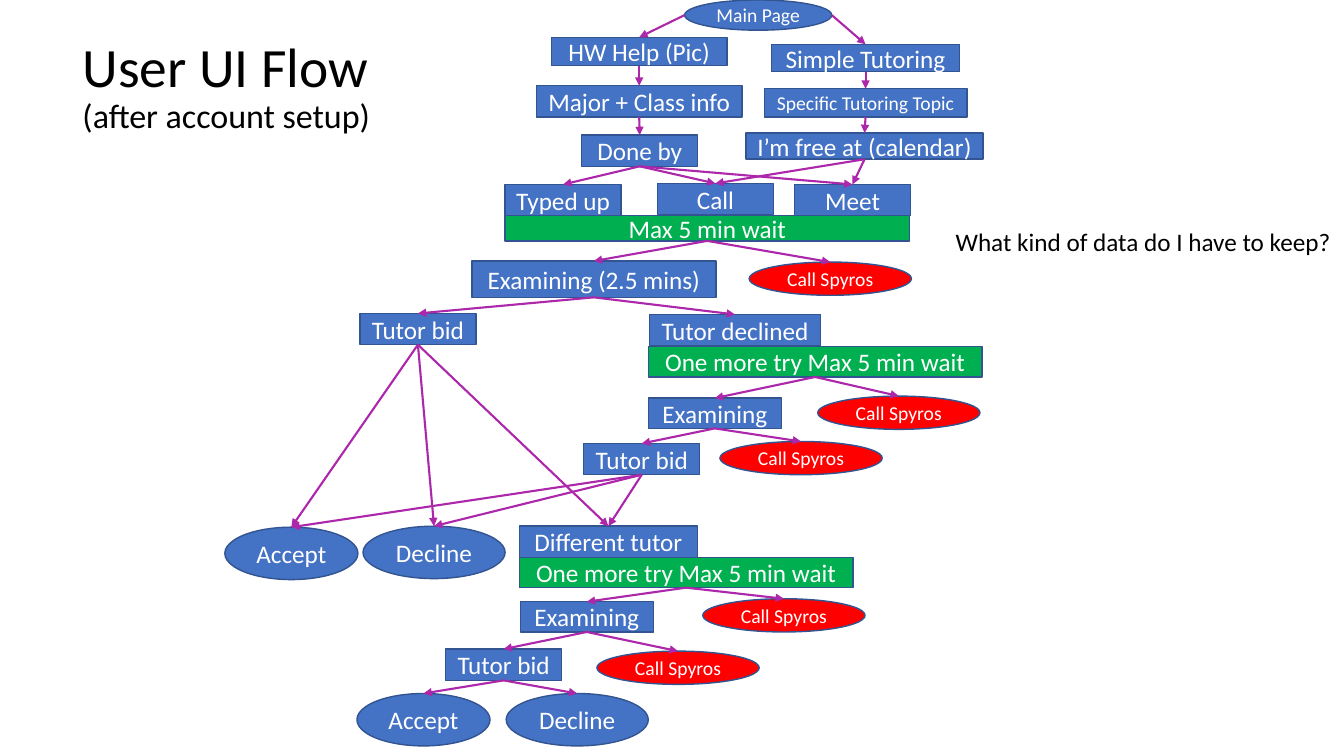
"""Draw the user flow chart as glued boxes and arrows on a grid of tenth-inch cells."""
from typing import NamedTuple

from lxml.etree import SubElement
from pptx import Presentation
from pptx.dml.color import RGBColor
from pptx.enum.shapes import MSO_CONNECTOR, MSO_SHAPE
from pptx.enum.text import MSO_ANCHOR, PP_ALIGN
from pptx.oxml.ns import qn
from pptx.util import Inches, Pt

COLS, ROWS = 133.3, 75
WIDE, HIGH = Inches(13.33), Inches(7.5)
HUE = {"blue": "4472C4", "green": "00B050", "red": "FF0000", "edge": "325491",
       "arrow": "AC27AA", "white": "FFFFFF", "black": "000000"}


class Look(NamedTuple):
    """Shape, colour and usual size of one kind of node."""
    shape: MSO_SHAPE
    fill: str
    wide: float
    high: float
    size: float = 18


class Node(NamedTuple):
    """One labelled box, placed by column and row."""
    key: str
    look: str
    text: str
    col: float
    row: float
    wide: float = 0
    high: float = 0
    size: float = 0


LOOKS = {
    "step": Look(MSO_SHAPE.RECTANGLE, "blue", 11.5, 3.1),
    "exam": Look(MSO_SHAPE.RECTANGLE, "blue", 13.2, 3),
    "wait": Look(MSO_SHAPE.RECTANGLE, "green", 33.1, 3),
    "yes": Look(MSO_SHAPE.OVAL, "blue", 13.2, 5.2),
    "no": Look(MSO_SHAPE.OVAL, "blue", 14.1, 5.2),
    "call": Look(MSO_SHAPE.OVAL, "red", 16.1, 3.3, 14),
}
RETRY = "One more try Max 5 min wait"
NODES = [
    Node("main", "yes", "Main Page", 67.9, 0, 14.6, 3, 14),
    Node("help", "step", "HW Help (Pic)", 54.7, 3.7, 17.4, 2.8),
    Node("simple", "step", "Simple Tutoring", 76.5, 4.4, 18.7, 2.7),
    Node("typed", "step", "Typed up", 50.1, 18.3),
    Node("phone", "step", "Call", 65.2, 18.2),
    Node("meet", "step", "Meet", 78.8, 18.3),
    Node("major", "step", "Major + Class info", 53.2, 8.5, 20.4),
    Node("topic", "step", "Specific Tutoring Topic", 75.8, 8.8, 20.1, 2.8, 14),
    Node("done", "step", "Done by", 57.7, 13.4),
    Node("free", "step", "I’m free at (calendar)", 74, 13.2, 23.5, 2.6),
    Node("wait1", "wait", "Max 5 min wait", 50.1, 21.4, 40.1, 2.5),
    Node("exam1", "exam", "Examining (2.5 mins)", 46.8, 25.9, 24.2, 3.6),
    Node("bid1", "step", "Tutor bid", 35.7, 31.1),
    Node("refuse", "step", "Tutor declined", 64.4, 31.2, 17),
    Node("exam2", "exam", "Examining", 64.3, 39.5),
    Node("wait2", "wait", RETRY, 64.3, 34.4),
    Node("bid2", "step", "Tutor bid", 57.9, 44),
    Node("other", "step", "Different tutor", 51.5, 52.2, 17.7),
    Node("wait3", "wait", RETRY, 51.5, 55.3),
    Node("exam3", "exam", "Examining", 51.6, 59.7),
    Node("bid3", "step", "Tutor bid", 44.2, 64.4),
    Node("yes1", "yes", "Accept", 22.3, 52.3),
    Node("no1", "no", "Decline", 36, 52.2),
    Node("yes2", "yes", "Accept", 35.4, 68.8),
    Node("no2", "no", "Decline", 50.2, 68.8),
] + [Node(f"call{n}", "call", "Call Spyros", col, row) for n, (col, row) in enumerate(
    [(74.3, 26), (81.1, 39.3), (71.4, 43.8), (69.7, 59.4), (59.2, 64.6)], 1)]
FLOW = {
    "help": "major", "major": "done", "done": "typed phone meet",
    "wait1": "exam1 call1", "exam1": "bid1 refuse",
    "wait2": "exam2 call2", "exam2": "bid2 call3",
    "bid1": "yes1 no1 other", "bid2": "yes1 no1 other",
    "wait3": "exam3 call4", "exam3": "bid3 call5", "bid3": "yes2 no2",
    "main": "help simple", "simple": "topic", "topic": "free", "free": "phone meet",
}
TOP, BASE = 0, 2


def place(col: float, row: float, wide: float, high: float) -> list[int]:
    """Turn grid cells into slide lengths."""
    return [round(col / COLS * WIDE), round(row / ROWS * HIGH),
            round(wide / COLS * WIDE), round(high / ROWS * HIGH)]


def paint(name: str) -> RGBColor:
    """Look up a colour by name."""
    return RGBColor.from_string(HUE[name])


def write(box, *runs: tuple[str, float], hue: str = "black", align=PP_ALIGN.LEFT,
          wrap: bool = True, space: float = 1) -> None:
    """Fill a shape with one paragraph of sized runs."""
    frame = box.text_frame
    frame.word_wrap = wrap
    frame.vertical_anchor = MSO_ANCHOR.MIDDLE
    para = frame.paragraphs[0]
    para.alignment, para.line_spacing = align, space
    for text, size in runs:
        run = para.add_run()
        run.text = text
        run.font.name, run.font.size = "Calibri", Pt(size)
        run.font.color.rgb = paint(hue)


def draw(slide, node: Node):
    """Add one node in the look of its kind."""
    look = LOOKS[node.look]
    box = slide.shapes.add_shape(look.shape, *place(
        node.col, node.row, node.wide or look.wide, node.high or look.high))
    box.shadow.inherit = False
    box.fill.solid()
    box.fill.fore_color.rgb = paint(look.fill)
    box.line.color.rgb = paint("edge")
    box.line.width = Pt(1)
    write(box, (node.text, node.size or look.size), hue="white", align=PP_ALIGN.CENTER)
    return box


def link(slide, start, end, side: bool) -> None:
    """Add an arrow to the top of a box, from the base or near side of another."""
    right = end.left > start.left
    line = slide.shapes.add_connector(
        MSO_CONNECTOR.STRAIGHT, start.left + start.width * right,
        start.top + start.height // 2, end.left, end.top)
    if not side:
        line.begin_connect(start, BASE)
    line.end_connect(end, TOP)
    line.line.color.rgb = paint("arrow")
    line.line.width = Pt(1.5)
    SubElement(line.line._get_or_add_ln(), qn("a:tailEnd"), type="triangle")
    SubElement(line._element.spPr, qn("a:effectLst"))


def build() -> None:
    """Make the slide and save it."""
    deck = Presentation()
    deck.slide_width, deck.slide_height = WIDE, HIGH
    slide = deck.slides.add_slide(deck.slide_layouts[6])
    title = slide.shapes.add_textbox(*place(7.2, 3.8, 31.3, 9.8))
    write(title, ("User UI Flow ", 39.6), ("(after account setup)", 24.3), space=0.9)
    boxes = {node.key: draw(slide, node) for node in NODES}
    for start, ends in FLOW.items():
        for end in ends.split():
            link(slide, boxes[start], boxes[end], side=start == "main")
    note = slide.shapes.add_textbox(*place(93.8, 22, 39.7, 4))
    write(note, ("What kind of data do I have to keep?", 18), wrap=False)
    deck.save("out.pptx")


build()
